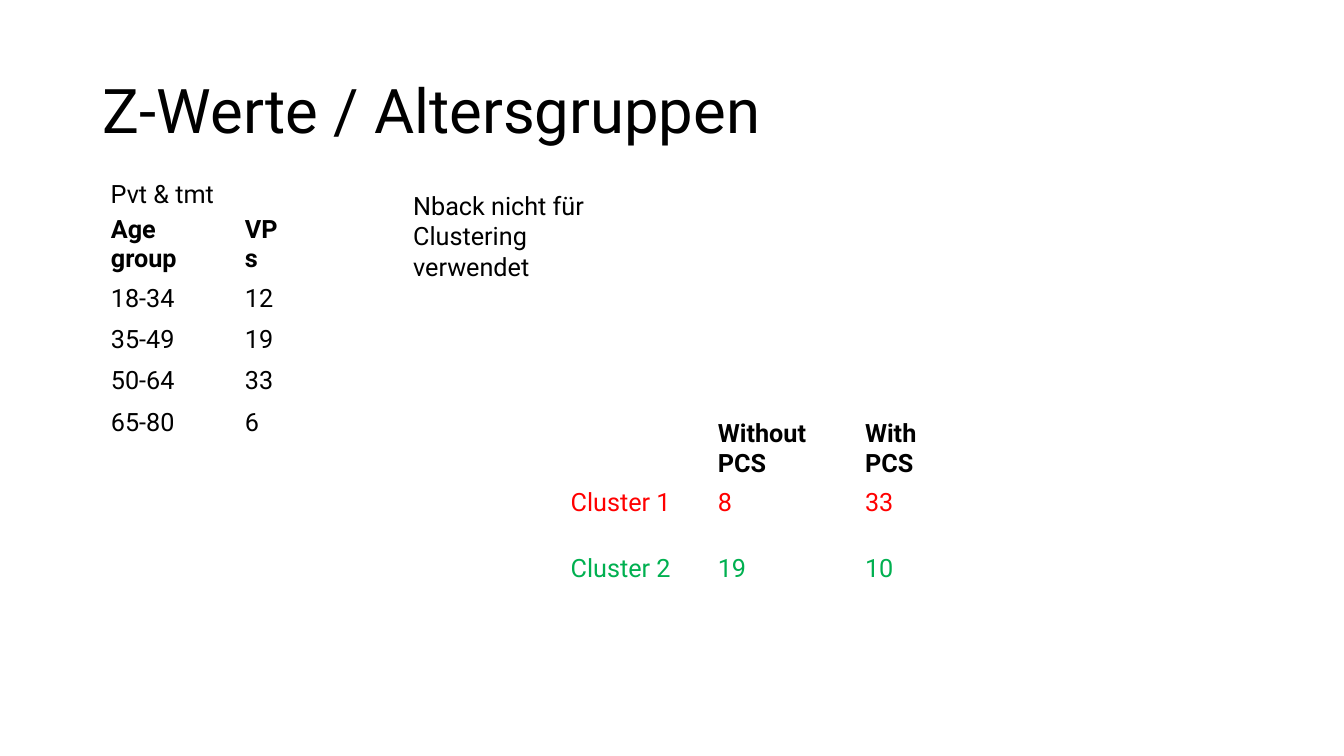
from dataclasses import dataclass

from lxml import etree
from pptx import Presentation
from pptx.dml.color import RGBColor
from pptx.enum.text import MSO_ANCHOR, MSO_AUTO_SIZE
from pptx.oxml.ns import qn
from pptx.util import Inches, Pt

MIDDLE = MSO_ANCHOR.MIDDLE
GROW = MSO_AUTO_SIZE.SHAPE_TO_FIT_TEXT
TITLE_ONLY = 5


@dataclass(frozen=True)
class Theme:
    """Colours, font and type sizes of the slide."""
    font: str = "Roboto"
    title: int = 44
    body: int = 18
    black: str = "000000"
    red: str = "FF0000"
    green: str = "00B050"
    white: str = "FFFFFF"
    border: int = 1
    header_border: int = 3


THEME = Theme()


def write(tf, text, size=THEME.body, color=THEME.black, bold=False):
    """Fill a text frame with one formatted paragraph."""
    p = tf.paragraphs[0]
    p.text = text
    values = {"name": THEME.font, "size": Pt(size), "bold": bold}
    for r in p.runs:
        for name, value in values.items():
            setattr(r.font, name, value)
        r.font.color.rgb = RGBColor.from_string(color)
    return p


def set_borders(cell, bottom):
    """Draw solid borders round a cell, with its own bottom width."""
    tc_pr = cell._tc.get_or_add_tcPr()
    widths = {"L": THEME.border, "R": THEME.border, "T": THEME.border, "B": bottom}
    for i, (side, width) in enumerate(widths.items()):
        ln = etree.Element(qn(f"a:ln{side}"), w=str(Pt(width)))
        fill = etree.SubElement(ln, qn("a:solidFill"))
        etree.SubElement(fill, qn("a:srgbClr"), val=THEME.white)
        tc_pr.insert(i, ln)


def add_title(s, box, text):
    """Place and format the title placeholder."""
    title = s.shapes.title
    title.left, title.top, title.width, title.height = map(Inches, box)
    tf = title.text_frame
    tf.vertical_anchor = MIDDLE
    p = write(tf, text, THEME.title)
    p.line_spacing = 0.9
    p.alignment = 1


def add_label(s, box, text):
    """Add a wrapping text box."""
    tf = s.shapes.add_textbox(*map(Inches, box)).text_frame
    tf.word_wrap = True
    tf.auto_size = GROW
    write(tf, text)


def add_grid(s, box, col_widths, row_height, rows, row_colors):
    """Add an unfilled table with a bold header row."""
    shape = s.shapes.add_table(len(rows), len(col_widths), *map(Inches, box))
    table = shape.table
    table.horz_banding = False
    for column, width in zip(table.columns, col_widths):
        column.width = Inches(width)
    for i, (row, color) in enumerate(zip(rows, row_colors)):
        table.rows[i].height = Inches(row_height)
        for j, text in enumerate(row):
            cell = table.cell(i, j)
            cell.fill.background()
            write(cell.text_frame, text, color=color, bold=i == 0)
            set_borders(cell, THEME.border if i else THEME.header_border)


def main():
    """Build the slide and save it."""
    prs = Presentation()
    prs.slide_width, prs.slide_height = Inches(13.33), Inches(7.5)
    s = prs.slides.add_slide(prs.slide_layouts[TITLE_ONLY])
    add_title(s, (0.92, 0.4, 11.5, 1.45), "Z-Werte / Altersgruppen")
    clusters = [("", "Without\vPCS", "With\vPCS"),
                ("Cluster 1", "8", "33"),
                ("Cluster 2", "19", "10")]
    add_grid(s, (5.56, 4.11, 4.39, 2), [1.46] * 3, 0.65, clusters,
             [THEME.black, THEME.red, THEME.green])
    ages = [("Age group", "VPs"), ("18-34", "12"), ("35-49", "19"),
            ("50-64", "33"), ("65-80", "6")]
    add_grid(s, (1, 2.08, 1.99, 2.32), [1.33, 0.65], 0.41, ages,
             [THEME.black] * len(ages))
    add_label(s, (1, 1.72, 2.06, 0.4), "Pvt & tmt")
    add_label(s, (4, 1.84, 2.06, 1.01), "Nback nicht für Clustering verwendet")
    prs.save("out.pptx")


if __name__ == "__main__":
    main()
